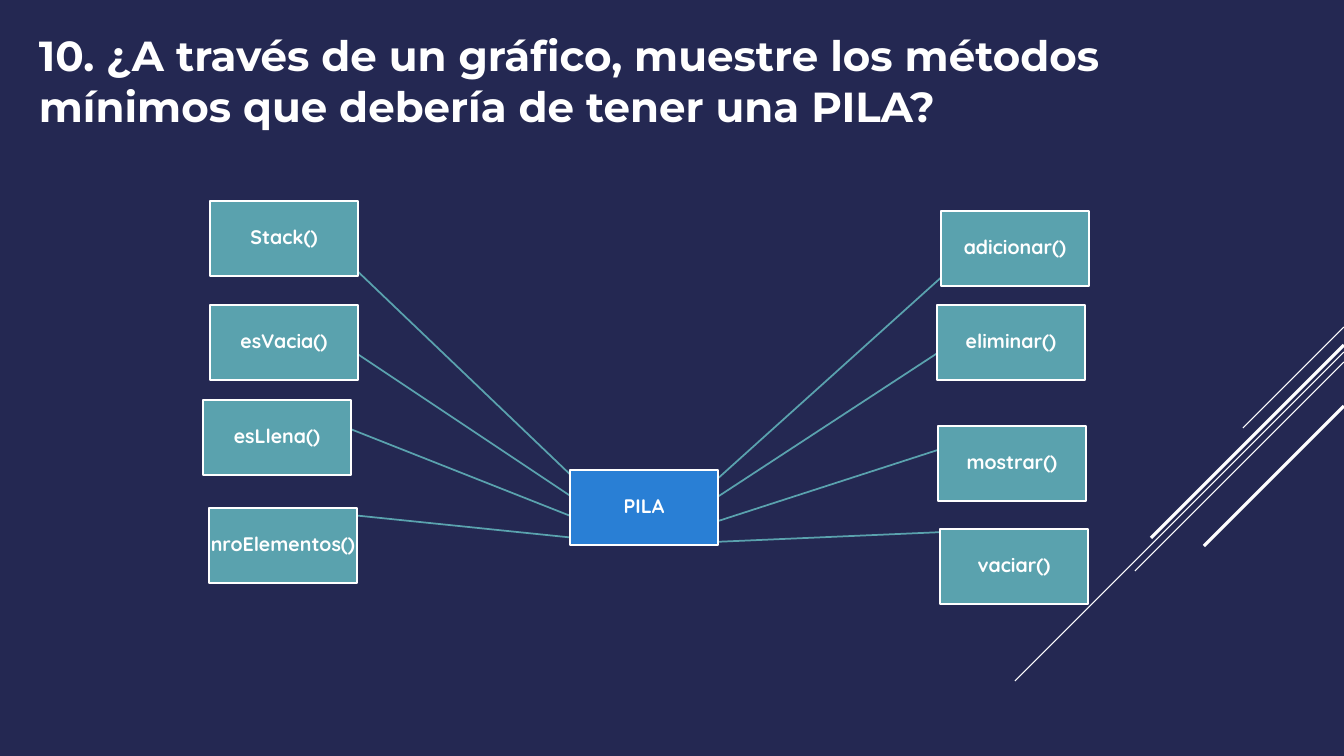
import dataclasses

import pptx
import pptx.dml.color
import pptx.enum.shapes
import pptx.enum.text
import pptx.oxml.ns
import pptx.util
from lxml import etree

PX = 12192000 / 1344
BOTTOM, TOP = 2, 0


def px(length):
    return pptx.util.Emu(round(length * PX))


def rgb(value):
    return pptx.dml.color.RGBColor.from_string(value)


@dataclasses.dataclass(frozen=True)
class Theme:
    background: str = "242852"
    white: str = "FFFFFF"
    teal: str = "5AA2AE"
    blue: str = "297FD5"
    title_font: str = "Montserrat"
    label_font: str = "Quicksand"
    title_size: float = 30
    label_size: float = 14
    thin: float = 0.75
    medium: float = 1.25
    thick: float = 2.25


class Diagram:
    def __init__(self, slide, theme):
        self.slide = slide
        self.theme = theme
        fill = slide.background.fill
        fill.solid()
        fill.fore_color.rgb = rgb(theme.background)

    def add_text(self, paragraph, text, font, size):
        run = paragraph.add_run()
        run.text = text
        run.font.name = font
        run.font.size = pptx.util.Pt(size)
        run.font.bold = True
        run.font.color.rgb = rgb(self.theme.white)

    def title(self, text, left, top, width, height):
        heading = self.slide.shapes.add_textbox(px(left), px(top), px(width), px(height))
        heading.text_frame.word_wrap = True
        self.add_text(heading.text_frame.paragraphs[0], text,
                      self.theme.title_font, self.theme.title_size)

    def line(self, start, end, color, weight):
        connector = self.slide.shapes.add_connector(
            pptx.enum.shapes.MSO_CONNECTOR.STRAIGHT, *map(px, start + end))
        connector.line.color.rgb = rgb(color)
        connector.line.width = pptx.util.Pt(weight)
        etree.SubElement(connector._element.spPr, pptx.oxml.ns.qn("a:effectLst"))
        return connector

    def box(self, text, left, top, color, width=148, height=75):
        node = self.slide.shapes.add_shape(
            pptx.enum.shapes.MSO_SHAPE.RECTANGLE, px(left), px(top), px(width), px(height))
        node.shadow.inherit = False
        node.fill.solid()
        node.fill.fore_color.rgb = rgb(color)
        node.line.color.rgb = rgb(self.theme.white)
        node.line.width = pptx.util.Pt(self.theme.medium)
        frame = node.text_frame
        frame.word_wrap = True
        frame.vertical_anchor = pptx.enum.text.MSO_ANCHOR.MIDDLE
        frame.margin_left = frame.margin_right = px(1)
        frame.margin_top = frame.margin_bottom = px(1)
        label = frame.paragraphs[0]
        label.alignment = pptx.enum.text.PP_ALIGN.CENTER
        label.line_spacing = 0.9
        self.add_text(label, text, self.theme.label_font, self.theme.label_size)
        return node


def main():
    theme = Theme()
    presentation = pptx.Presentation()
    presentation.slide_width, presentation.slide_height = px(1344), px(756)
    diagram = Diagram(presentation.slides.add_slide(presentation.slide_layouts[6]), theme)

    rays = [
        (327, 101, theme.thin),
        (352, 329, theme.thin),
        (362, 209, theme.thin),
        (345, 193, theme.thick),
        (406, 140, theme.thick),
    ]
    for top, reach, weight in rays:
        diagram.line((1344, top), (1344 - reach, top + reach), theme.white, weight)

    diagram.title("10. ¿A través de un gráfico, muestre los métodos mínimos "
                  "que debería de tener una PILA?", 29, 25, 1197, 112)

    methods = [
        ("Stack()", 210, 201),
        ("esVacia()", 210, 305),
        ("esLlena()", 203, 400),
        ("nroElementos()", 209, 508),
        ("adicionar()", 941, 211),
        ("eliminar()", 937, 305),
        ("mostrar()", 938, 426),
        ("vaciar()", 940, 529),
    ]
    links = [diagram.line((644, 545), (left + 74, top), theme.teal, theme.medium)
             for _, left, top in methods]
    pila = diagram.box("PILA", 570, 470, theme.blue)
    for link, (name, left, top) in zip(links, methods):
        method = diagram.box(name, left, top, theme.teal)
        link.begin_connect(pila, BOTTOM)
        link.end_connect(method, TOP)

    presentation.save("out.pptx")


if __name__ == "__main__":
    main()
